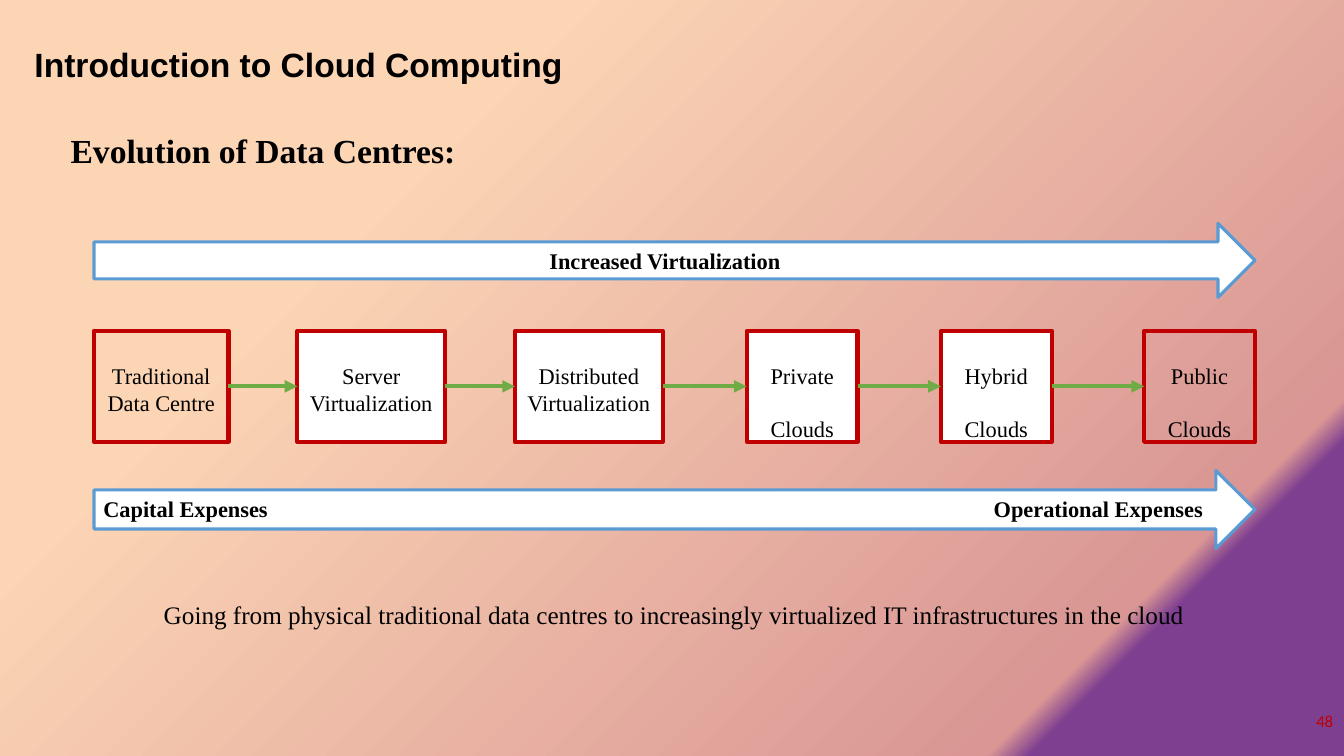
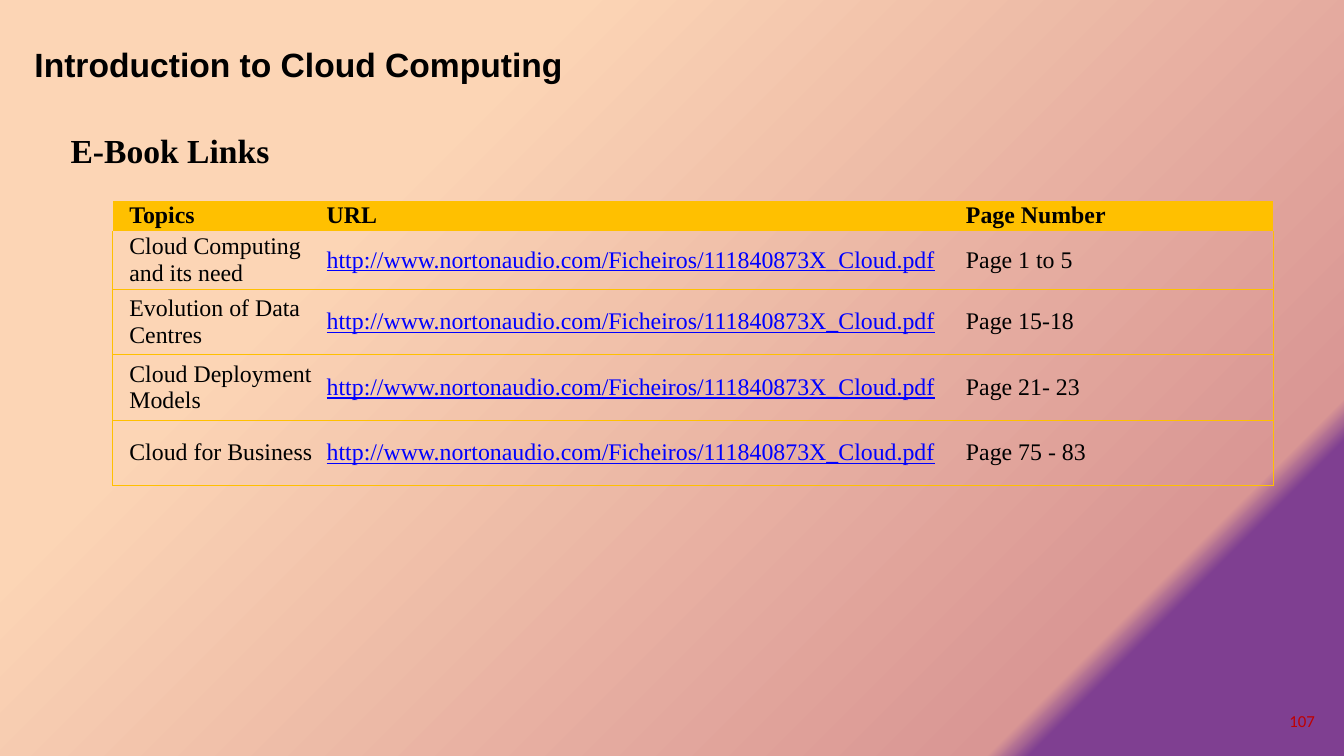
from copy import deepcopy

from lxml import etree
from pptx import Presentation
from pptx.dml.color import RGBColor
from pptx.enum.shapes import MSO_CONNECTOR, MSO_SHAPE
from pptx.enum.text import MSO_ANCHOR, PP_ALIGN
from pptx.oxml.ns import qn
from pptx.util import Inches, Pt

RECT, RIGHT_ARROW = MSO_SHAPE.RECTANGLE, MSO_SHAPE.RIGHT_ARROW
STRAIGHT = MSO_CONNECTOR.STRAIGHT
TOP, MIDDLE = MSO_ANCHOR.TOP, MSO_ANCHOR.MIDDLE
LEFT, CENTER = PP_ALIGN.LEFT, PP_ALIGN.CENTER

BLACK = RGBColor(0x00, 0x00, 0x00)
WHITE = RGBColor(0xFF, 0xFF, 0xFF)
PEACH = RGBColor(0xFC, 0xD5, 0xB5)
ROSE = RGBColor(0xD9, 0x96, 0x94)
PURPLE = RGBColor(0x7F, 0x3F, 0x91)
RED = RGBColor(0xC0, 0x00, 0x00)
GREEN = RGBColor(0x6F, 0xAC, 0x46)
BLUE = RGBColor(0x5B, 0x9B, 0xD4)
LINK = RGBColor(0x00, 0x00, 0xFF)
GOLD = RGBColor(0xFF, 0xC0, 0x00)

SANS, SERIF, NUMERAL = "Arial", "Times New Roman", "Calibri"
COLS, ROWS = 160, 90
NO_STYLE_NO_GRID = "{2D5ABB26-0587-4C30-8999-92F81FD0307C}"
RIGHT_SITE, LEFT_SITE = 3, 1


class Deck:
    """Shared style and current slide; lengths are columns and rows of a grid."""

    def __init__(self):
        self.prs = Presentation()
        self.prs.slide_width, self.prs.slide_height = Inches(13.33), Inches(7.5)
        self.slide = None
        self.set_background((0.27, PEACH), (0.83, ROSE), (0.85, PURPLE))

    def x(self, cols):
        return round(self.prs.slide_width * cols / COLS)

    def y(self, rows):
        return round(self.prs.slide_height * rows / ROWS)

    def area(self, left, top, width, height):
        return self.x(left), self.y(top), self.x(width), self.y(height)

    def set_background(self, *stops):
        master = self.prs.slide_master
        fill = master.background.fill
        fill.gradient()
        fill.gradient_angle = 315
        last = master.element.xpath(".//p:bg//a:gs")[-1]
        last.addnext(deepcopy(last))
        for stop, (position, color) in zip(fill.gradient_stops, stops):
            stop.position = position
            stop.color.rgb = color

    def new_slide(self, heading, number, number_left):
        self.slide = self.prs.slides.add_slide(self.prs.slide_layouts[6])
        self.text("Introduction to Cloud Computing", 4.1, 5.2, 90, 24, SANS, bold=True)
        self.text(heading, 8.4, 15.5, 90, 24, bold=True)
        self.text(number, number_left, 84.6, 5, 12, NUMERAL, RED)

    @staticmethod
    def style(p, size, font=SERIF, color=BLACK, bold=False, align=LEFT):
        p.alignment = align
        p.font.size, p.font.name, p.font.bold = Pt(size), font, bold
        p.font.color.rgb = color

    @staticmethod
    def clear_margins(box):
        box.margin_left = box.margin_right = box.margin_top = box.margin_bottom = 0

    def text(self, text, left, top, width, size, font=SERIF, color=BLACK, bold=False):
        tf = self.slide.shapes.add_textbox(*self.area(left, top, width, 4)).text_frame
        tf.word_wrap = True
        self.clear_margins(tf)
        p = tf.paragraphs[0]
        p.text = text
        self.style(p, size, font, color, bold)

    def shape(self, kind, area, line, weight, fill=None):
        sp = self.slide.shapes.add_shape(kind, *self.area(*area))
        sp.shadow.inherit = False
        if fill is None:
            sp.fill.background()
        else:
            sp.fill.solid()
            sp.fill.fore_color.rgb = fill
        sp.line.color.rgb, sp.line.width = line, Pt(weight)
        return sp

    def block_arrow(self, top, height):
        self.shape(RIGHT_ARROW, (11.2, top, 138.2, height), BLUE, 2.28, WHITE)

    def stage(self, lines, left, width, fill, gap):
        """Box with centred lines; gap is the space between them in points."""
        sp = self.shape(RECT, (left, 39.4, width, 13.2), RED, 3, fill)
        tf = sp.text_frame
        tf.word_wrap, tf.vertical_anchor = True, TOP
        self.clear_margins(tf)
        tf.margin_top = self.y(3.7)
        for i, line in enumerate(lines):
            p = tf.add_paragraph() if i else tf.paragraphs[0]
            p.text = line
            self.style(p, 16, align=CENTER)
            p.space_before = Pt(gap if i else 0)
        return sp

    def link(self, start, end):
        line = self.slide.shapes.add_connector(STRAIGHT, 0, 0, 0, 0)
        line.begin_connect(start, RIGHT_SITE)
        line.end_connect(end, LEFT_SITE)
        line.line.color.rgb, line.line.width = GREEN, Pt(3)
        etree.SubElement(line.line._get_or_add_ln(), qn("a:tailEnd"), type="triangle")
        etree.SubElement(line.element.spPr, qn("a:effectLst"))

    @staticmethod
    def border(cell, sides):
        tcPr = cell._tc.get_or_add_tcPr()
        for side in sides:
            ln = etree.SubElement(tcPr, qn(f"a:ln{side}"), w=str(Pt(0.5)))
            fill = etree.SubElement(ln, qn("a:solidFill"))
            etree.SubElement(fill, qn("a:srgbClr"), val=str(GOLD))

    def table(self, left, top, widths, heights, rows, indents):
        frame = self.slide.shapes.add_table(
            len(rows), len(widths),
            *self.area(left, top, sum(widths), sum(heights)))
        frame.element.xpath(".//a:tableStyleId")[0].text = NO_STYLE_NO_GRID
        table = frame.table
        table.first_row = table.horz_banding = False
        for column, width in zip(table.columns, widths):
            column.width = self.x(width)
        for row, height in zip(table.rows, heights):
            row.height = self.y(height)
        last = len(widths) - 1
        for r, values in enumerate(rows):
            for c, value in enumerate(values):
                cell = table.cell(r, c)
                self.clear_margins(cell)
                cell.margin_left = self.x(indents[c])
                cell.vertical_anchor = MIDDLE
                p = cell.text_frame.paragraphs[0]
                p.text = value
                is_url = value.startswith("http")
                self.style(p, 17, color=LINK if is_url else BLACK, bold=r == 0)
                p.font.underline = is_url
                if r == 0:
                    cell.fill.solid()
                    cell.fill.fore_color.rgb = GOLD
                else:
                    outer = {0: "L", last: "R"}.get(c, "")
                    self.border(cell, outer + ("B" if r == 1 else "TB"))
                    cell.fill.background()


def evolution_slide(deck):
    deck.new_slide("Evolution of Data Centres:", "48", 156.7)
    stages = [
        (("Traditional", "Data Centre"), 11.2, 16, None, 0),
        (("Server", "Virtualization"), 35.4, 17.6, WHITE, 0),
        (("Distributed", "Virtualization"), 61.3, 17.6, WHITE, 0),
        (("Private", "Clouds"), 88.9, 13.2, WHITE, 19),
        (("Hybrid", "Clouds"), 112, 13.2, WHITE, 19),
        (("Public", "Clouds"), 136.2, 13.2, None, 19),
    ]
    boxes = [deck.stage(*stage) for stage in stages]
    for start, end in zip(boxes, boxes[1:]):
        deck.link(start, end)
    deck.block_arrow(26.6, 8.8)
    deck.block_arrow(56, 9.3)
    for label, left, top in (("Increased Virtualization", 65.4, 29.4),
                             ("Capital Expenses", 12.3, 59),
                             ("Operational Expenses", 118.3, 59)):
        deck.text(label, left, top, 30, 16, bold=True)
    deck.text("Going from physical traditional data centres to increasingly "
              "virtualized IT infrastructures in the cloud", 19.5, 71.4, 125, 18)


def ebook_slide(deck):
    deck.new_slide("E-Book Links", "107", 153.5)
    url = "http://www.nortonaudio.com/Ficheiros/111840873X_Cloud.pdf"
    topics = [
        ("Cloud Computing\nand its need", "Page 1 to 5"),
        ("Evolution of Data\nCentres", "Page 15-18"),
        ("Cloud Deployment\nModels", "Page 21- 23"),
        ("Cloud for Business", "Page 75 - 83"),
    ]
    rows = [("Topics", "URL", "Page Number")]
    rows += [(topic, url, pages) for topic, pages in topics]
    deck.table(13.4, 23.9, (24.6, 75.1, 38.5), (3.6, 6.9, 7.8, 7.8, 7.8),
               rows, indents=(2, 0.9, 1.9))


def main():
    deck = Deck()
    evolution_slide(deck)
    ebook_slide(deck)
    deck.prs.save("out.pptx")


if __name__ == "__main__":
    main()
